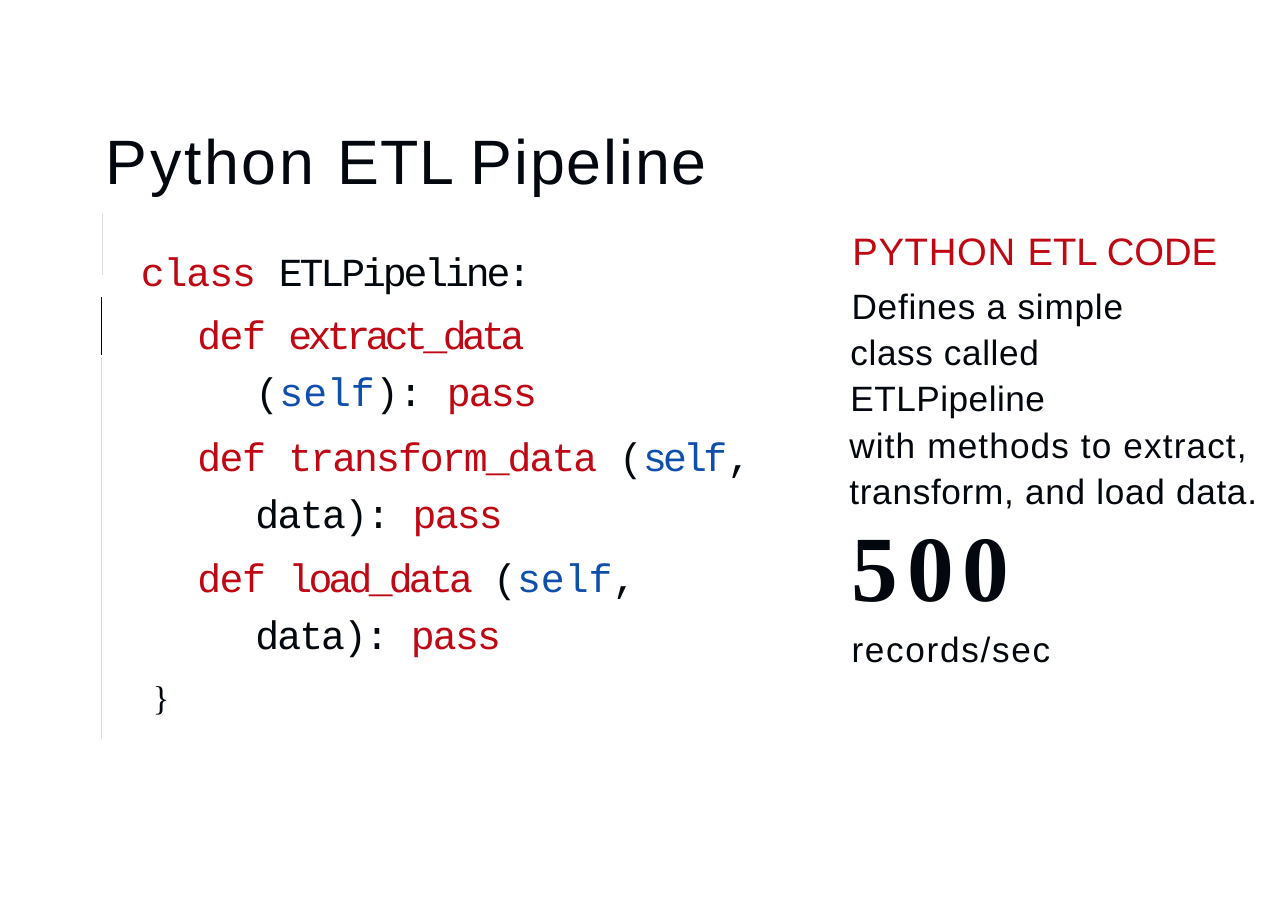
from pptx import Presentation
from pptx.dml.color import RGBColor
from pptx.enum.shapes import MSO_CONNECTOR
from pptx.enum.text import MSO_ANCHOR, MSO_AUTO_SIZE, PP_ALIGN
from pptx.oxml.xmlchemy import OxmlElement
from pptx.util import Pt

STRAIGHT = MSO_CONNECTOR.STRAIGHT
TOP, LEFT, NO_FIT = MSO_ANCHOR.TOP, PP_ALIGN.LEFT, MSO_AUTO_SIZE.NONE

INK = RGBColor(0x03, 0x07, 0x0E)
RED = RGBColor(0xBF, 0x08, 0x13)
BLUE = RGBColor(0x0E, 0x4F, 0xAC)
GREY = RGBColor(0xDB, 0xDB, 0xD8)
BLACK = RGBColor(0x00, 0x00, 0x00)

SANS, CODE, SERIF = "Arial", "Courier New", "Times New Roman"
BREAK = None

# Each code run is (text, colour, letter spacing in points).
METHODS = [
    (3.8, [("def ", RED, -1), ("extract_data", RED, -3), BREAK,
           ("(", INK, 0), ("self", BLUE, 0), ("): ", INK, 0), ("pass", RED, -1.2)]),
    (4.9, [("def ", RED, -1), ("transform_data ", RED, -1.3),
           ("(", INK, 0), ("self", BLUE, -2.5), (",", INK, 0), BREAK,
           ("data): ", INK, -1.1), ("pass", RED, -1.2)]),
    (4.3, [("def ", RED, -1), ("load_data ", RED, -2.5),
           ("(", INK, 0), ("self", BLUE, 0), (",", INK, 0), BREAK,
           ("data): ", INK, -1.3), ("pass", RED, -1.2)]),
]


def prepare_frame(shape, top_inset=0):
    frame = shape.text_frame
    frame.margin_left = frame.margin_right = frame.margin_bottom = 0
    frame.margin_top = Pt(top_inset)
    frame.word_wrap = True
    frame.auto_size = NO_FIT
    frame.vertical_anchor = TOP
    return frame


def add_frame(slide, left, top, width, height):
    return prepare_frame(slide.shapes.add_textbox(Pt(left), Pt(top), Pt(width), Pt(height)))


def fill_paragraph(paragraph, runs, font, size, bold=False, margin=0, indent=0,
                   before=0, line_spacing=1.0):
    """Format a paragraph and add its (text, colour, letter spacing) runs."""
    properties = paragraph._p.get_or_add_pPr()
    properties.set("marL", str(Pt(margin)))
    properties.set("indent", str(Pt(indent)))
    paragraph.alignment = LEFT
    paragraph.space_before = Pt(before)
    paragraph.line_spacing = line_spacing
    for item in runs:
        if item is BREAK:
            paragraph.add_line_break()
            continue
        text, colour, spacing = item
        run = paragraph.add_run()
        run.text = text
        run.font.name = font
        run.font.size = Pt(size)
        run.font.bold = bold
        run.font.color.rgb = colour
        run._r.get_or_add_rPr().set("spc", str(round(spacing * 100)))


def add_title(slide, left, top, width, height):
    title = slide.shapes.title
    title.left, title.top, title.width, title.height = Pt(left), Pt(top), Pt(width), Pt(height)
    frame = prepare_frame(title, top_inset=11.5)
    runs = [("Python ", INK, 1.75), ("ETL ", INK, 0.5), ("Pipeline", INK, 1.2)]
    fill_paragraph(frame.paragraphs[0], runs, SANS, 41, margin=1.4, line_spacing=Pt(48.8))


def add_rule(slide, left, top, height, colour, weight):
    rule = slide.shapes.add_connector(STRAIGHT, Pt(left), Pt(top), Pt(left), Pt(top + height))
    rule.line.color.rgb = colour
    rule.line.width = Pt(weight)
    rule._element.spPr.append(OxmlElement("a:effectLst"))


def add_code(slide, left, top, width, height):
    """Place the code listing with the three margin rules to its left."""
    rule_left = left - 25.2
    add_rule(slide, rule_left + 0.7, top - 21.6, 40.3, GREY, 1.1)
    add_rule(slide, rule_left, top + 33.1, 37.4, BLACK, 0.55)
    add_rule(slide, rule_left, top + 72.7, 249.1, GREY, 0.55)

    frame = add_frame(slide, left, top, width, height)
    class_line = [("class ", RED, -0.7), ("ETLPipeline:", INK, -2.05)]
    fill_paragraph(frame.paragraphs[0], class_line, CODE, 26, margin=0.7)
    for before, runs in METHODS:
        fill_paragraph(frame.add_paragraph(), runs, CODE, 26, margin=75.6, indent=-38,
                       before=before, line_spacing=1.2)
    fill_paragraph(frame.add_paragraph(), [("}", INK, 0)], SERIF, 22.5, margin=8.6,
                   before=12.3, line_spacing=Pt(26.9))


def add_description(slide, left, top, width, height):
    frame = add_frame(slide, left, top, width, height)
    heading = [("PYTHON ", RED, 0.5), ("ETL ", RED, 0), ("CODE", RED, 0)]
    fill_paragraph(frame.paragraphs[0], heading, SANS, 25, margin=2.6)
    purpose = [("Defines a simple", INK, 0.5), BREAK, ("class called", INK, 0.4), BREAK,
               ("ETLPipeline", INK, 0.3)]
    fill_paragraph(frame.add_paragraph(), purpose, SANS, 23, margin=1.4, indent=0.7,
                   before=5.1, line_spacing=1.09)
    methods = [("with methods to extract,", INK, 0.75), BREAK,
               ("transform, and load data.", INK, 0.45)]
    fill_paragraph(frame.add_paragraph(), methods, SANS, 23, margin=0.7,
                   before=0.6, line_spacing=1.09)


def add_throughput(slide, left, top, width, height):
    frame = add_frame(slide, left, top, width, height)
    fill_paragraph(frame.paragraphs[0], [("500", INK, 6)], SERIF, 61, bold=True, margin=0.7)
    fill_paragraph(frame.add_paragraph(), [("records/sec", INK, 1.1)], SANS, 23,
                   margin=0.7, before=4.8)


def main():
    presentation = Presentation()
    presentation.slide_width, presentation.slide_height = Pt(841.68), Pt(595.44)
    slide = presentation.slides.add_slide(presentation.slide_layouts[5])
    add_title(slide, 67.7, 68.4, 707, 106.6)
    add_code(slide, 91.4, 161.3, 424.8, 301)
    add_description(slide, 554.4, 148.3, 280, 153.4)
    add_throughput(slide, 555.8, 331.9, 133.9, 95.8)
    presentation.save("out.pptx")


if __name__ == "__main__":
    main()
